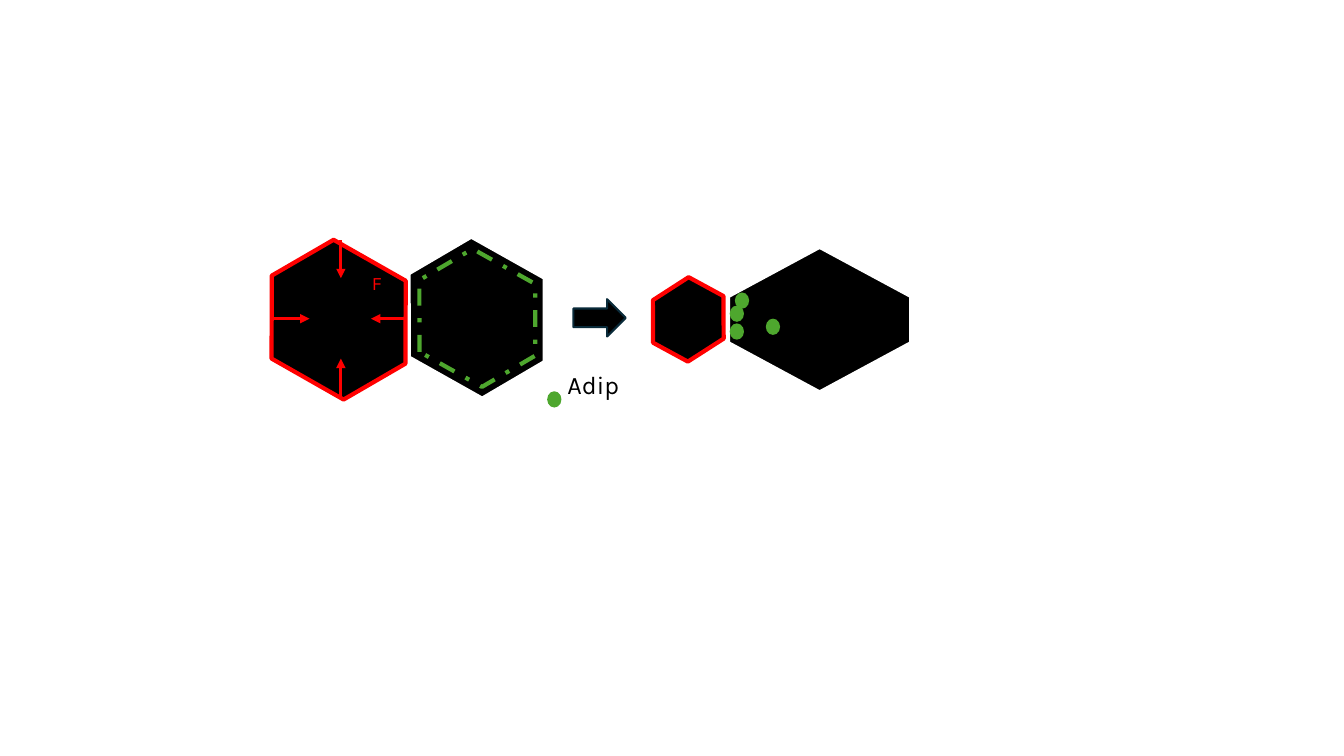
import pptx
import pptx.util
import pptx.dml.color
import pptx.enum.dml
import pptx.enum.shapes
import pptx.enum.text
from dataclasses import dataclass
from lxml import etree

Cm = pptx.util.Cm
Pt = pptx.util.Pt
Shape = pptx.enum.shapes.MSO_SHAPE


@dataclass(frozen=True)
class Theme:
    cell: str = "000000"
    force: str = "FF0000"
    adip: str = "4EA72E"
    gap: str = "FFFFFF"
    arrow_edge: str = "092A39"
    font: str = "Karla"
    force_size: float = 13.5
    label_size: float = 18
    thick: float = 3
    medium: float = 2.25
    thin: float = 1.5


theme = Theme()


def color(value):
    return pptx.dml.color.RGBColor.from_string(value)


def add_figure(page, kind, box, fill=None, line=None, width=0, turn=0, inset=None):
    figure = page.shapes.add_shape(kind, *map(Cm, box))
    figure.shadow.inherit = False
    figure.rotation = turn
    if inset is not None:
        figure.adjustments[0] = inset
    if fill:
        figure.fill.solid()
        figure.fill.fore_color.rgb = color(fill)
    else:
        figure.fill.background()
    if line:
        figure.line.color.rgb = color(line)
        figure.line.width = Pt(width)
    else:
        figure.line.fill.background()
    return figure


def add_force(page, start, end):
    force = page.shapes.add_connector(
        pptx.enum.shapes.MSO_CONNECTOR.STRAIGHT, *map(Cm, start + end))
    force.line.color.rgb = color(theme.force)
    force.line.width = Pt(theme.medium)
    outline = force.line._get_or_add_ln()
    namespace = pptx.oxml.ns.qn
    etree.SubElement(outline, namespace("a:tailEnd"), type="triangle")
    etree.SubElement(force._element.spPr, namespace("a:effectLst"))


def add_label(page, box, text, size, ink, wrap):
    label = page.shapes.add_textbox(*map(Cm, box))
    frame_format = {
        "word_wrap": wrap,
        "auto_size": pptx.enum.text.MSO_AUTO_SIZE.SHAPE_TO_FIT_TEXT,
    }
    for name, value in frame_format.items():
        setattr(label.text_frame, name, value)
    span = label.text_frame.paragraphs[0].add_run()
    span.text = text
    for name, value in {"name": theme.font, "size": Pt(size)}.items():
        setattr(span.font, name, value)
    span.font.color.rgb = color(ink)


def add_dot(page, left, top):
    add_figure(page, Shape.OVAL, (left, top, 0.36, 0.41), theme.adip)


def draw_before(page, left, top):
    add_figure(page, Shape.HEXAGON, (left, top + 0.2, 3.91, 3.61),
               theme.cell, theme.force, theme.thick, 329.9, 0.292)
    middle_x, middle_y = left + 2.01, top + 1.98
    for start, end in (
        ((left + 0.3, middle_y), (left + 1.22, middle_y)),
        ((left + 3.68, middle_y), (left + 2.77, middle_y)),
        ((middle_x, top), (middle_x, top + 0.96)),
        ((middle_x, top + 3.98), (middle_x, top + 2.99)),
    ):
        add_force(page, start, end)
    add_figure(page, Shape.HEXAGON, (left + 3.48, top + 0.15, 3.91, 3.61),
               theme.cell, theme.gap, theme.thin, 329.6, 0.292)
    ring = add_figure(page, Shape.HEXAGON, (left + 3.76, top + 0.4, 3.38, 3.12),
                      None, theme.adip, theme.thick, 329.6, 0.292)
    ring.line.dash_style = pptx.enum.dml.MSO_LINE.DASH_DOT
    add_label(page, (left + 2.54, top + 0.66, 1.32, 1.47), "F",
              theme.force_size, theme.force, True)


def draw_after(page, left, top):
    add_figure(page, Shape.HEXAGON, (left, top + 1.34, 2.03, 1.88),
               theme.cell, theme.force, theme.thick, 28.5, 0.274)
    add_figure(page, Shape.HEXAGON, (left + 2.52, top, 3.61, 4.57),
               theme.cell, theme.gap, theme.thin, 90, 0.341)
    for across, down in ((2.06, 1.93), (2.06, 2.38), (2.19, 1.6), (2.97, 2.26)):
        add_dot(page, left + across, top + down)


def draw_transition(page, left, top):
    add_figure(page, Shape.RIGHT_ARROW, (left, top, 1.32, 0.94),
               theme.cell, theme.arrow_edge, theme.thin)


def draw_legend(page, left, top):
    add_dot(page, left, top + 0.67)
    add_label(page, (left + 0.26, top, 2.95, 1.8), "Adip",
              theme.label_size, theme.cell, False)


def main():
    deck = pptx.Presentation()
    deck.slide_width, deck.slide_height = Cm(33.87), Cm(19.05)
    page = deck.slides.add_slide(deck.slide_layouts[6])
    draw_before(page, 6.58, 6.05)
    draw_after(page, 16.33, 5.77)
    draw_transition(page, 14.45, 7.54)
    draw_legend(page, 13.79, 9.19)
    deck.save("out.pptx")


if __name__ == "__main__":
    main()
